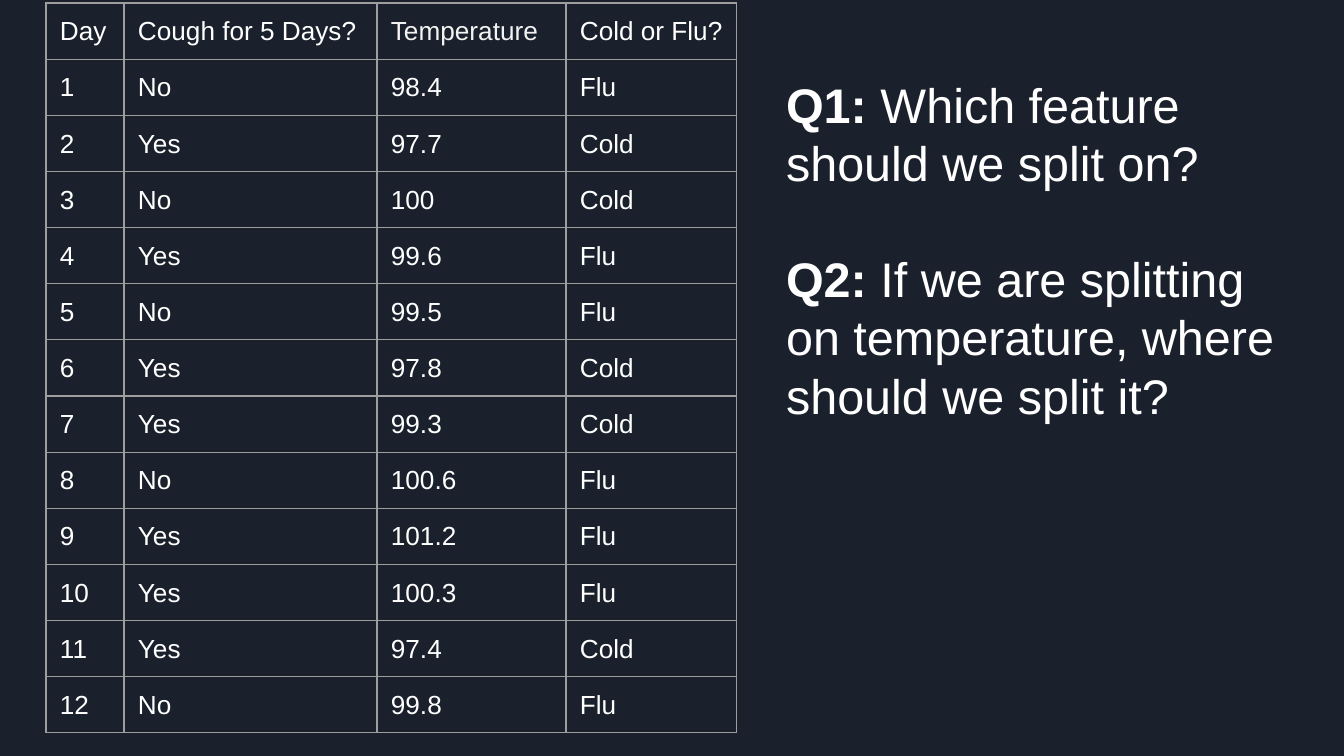
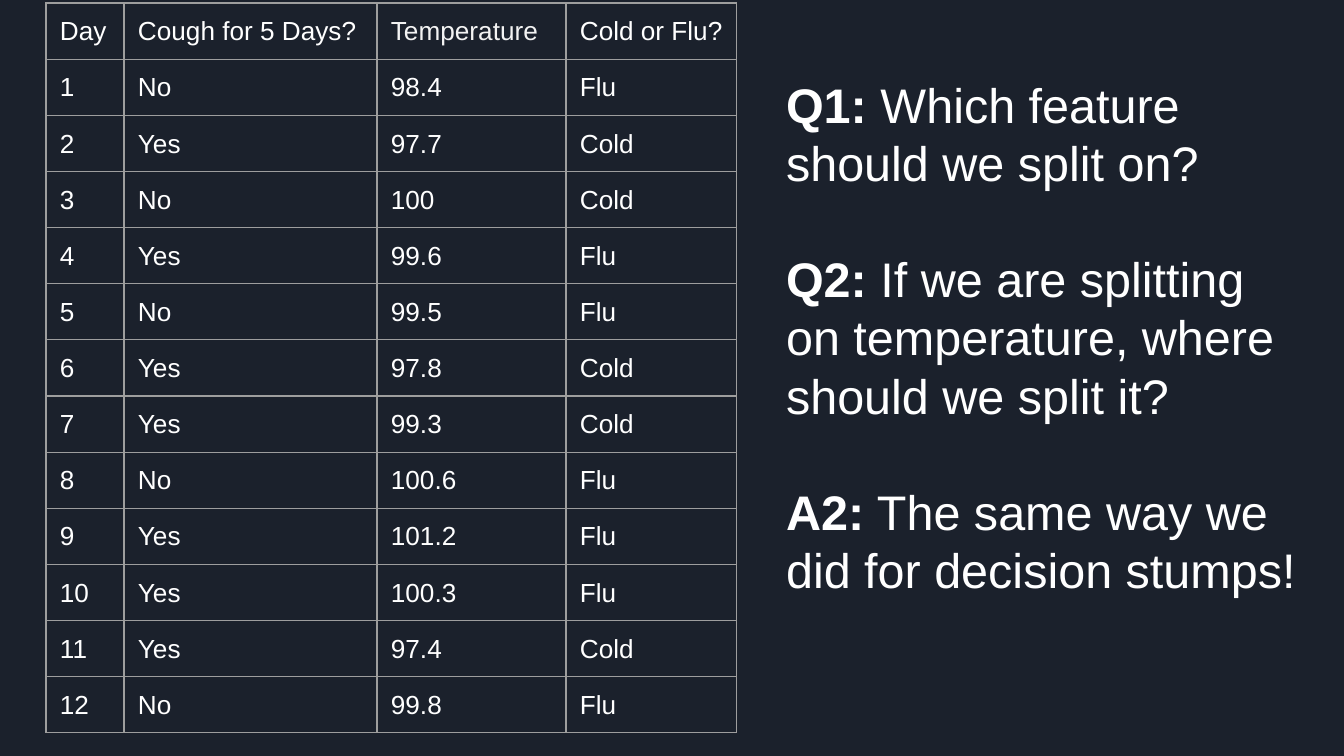
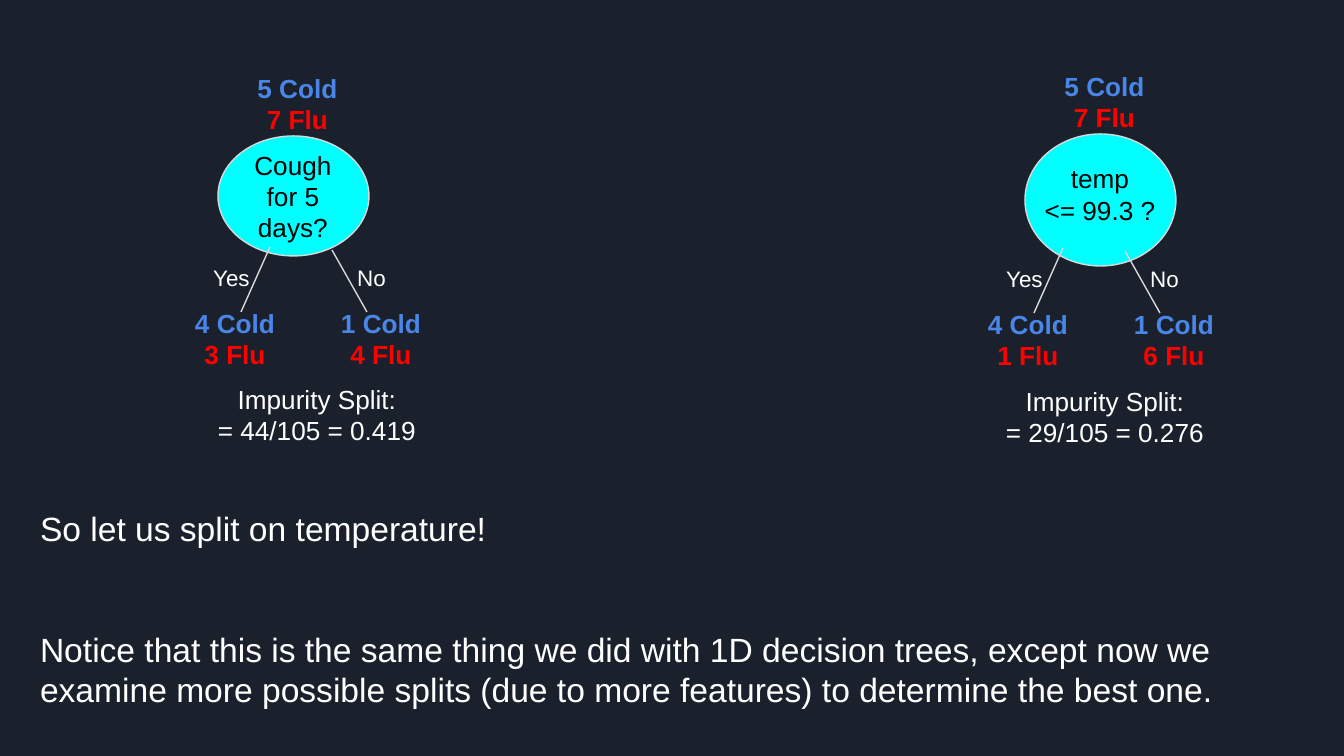
from dataclasses import dataclass

from lxml.etree import SubElement
from pptx import Presentation
from pptx.dml.color import RGBColor
from pptx.enum.shapes import MSO_CONNECTOR, MSO_SHAPE
from pptx.enum.text import MSO_ANCHOR as Anchor, PP_ALIGN as Align
from pptx.oxml import parse_xml
from pptx.oxml.ns import nsdecls, qn
from pptx.util import Emu, Pt

EMU_PER_PX = 914400 / 134.4
FONT = "Arial"
INSET = 13
BACKGROUND, WHITE, BLACK = "1B212C", "FFFFFF", "000000"
OFF_WHITE, GRID, OUTLINE = "F3F3F3", "9E9E9E", "D9D9D9"
COLD, FLU, NODE = "4A86E8", "FF0000", "00FFFF"

HEADER = ("Day", "Cough for 5 Days?", "Temperature", "Cold or Flu?")
DAYS = (
    ("No", "98.4", "Flu"), ("Yes", "97.7", "Cold"), ("No", "100", "Cold"),
    ("Yes", "99.6", "Flu"), ("No", "99.5", "Flu"), ("Yes", "97.8", "Cold"),
    ("Yes", "99.3", "Cold"), ("No", "100.6", "Flu"), ("Yes", "101.2", "Flu"),
    ("Yes", "100.3", "Flu"), ("Yes", "97.4", "Cold"), ("No", "99.8", "Flu"),
)
COLUMN_WIDTHS = (78, 253, 189, 171)
TABLE_HEIGHT = 730


@dataclass(frozen=True)
class Box:
    """A rectangle in pixels."""
    x: int
    y: int
    w: int
    h: int


@dataclass(frozen=True)
class Line:
    """One paragraph: an optional bold lead, then the text."""
    text: str
    color: str = WHITE
    bold: bool = False
    lead: str = ""


@dataclass(frozen=True)
class Counts:
    """How many days of each illness reach a node."""
    cold: int
    flu: int


@dataclass(frozen=True)
class Stump:
    """A one-question tree and the places of its parts."""
    node: Box
    question: tuple[str, ...]
    question_h: int
    anchor: Anchor
    branches: tuple[int, int]
    yes: Counts
    no: Counts
    impurity: Box
    result: str


Q1 = Line(" Which feature should we split on?", lead="Q1:")
Q2 = Line(" If we are splitting on temperature, where should we split it?", lead="Q2:")
A2 = Line(" The same way we did for decision stumps!", lead="A2:")
ROOT = Counts(5, 7)
STUMPS = (
    Stump(Box(218, 136, 151, 120), ("Cough for 5 days?",), 112, Anchor.TOP,
          (181, 247), Counts(4, 3), Counts(1, 4),
          Box(200, 370, 234, 93), "= 44/105 = 0.419"),
    Stump(Box(1025, 134, 151, 132), ("temp", "<= 99.3 ?"), 120, Anchor.MIDDLE,
          (974, 248), Counts(4, 1), Counts(1, 6),
          Box(988, 372, 234, 112), "= 29/105 = 0.276"),
)


def px(n: float) -> Emu:
    """Turn pixels into EMU."""
    return Emu(round(n * EMU_PER_PX))


def rgb(color: str) -> RGBColor:
    """Turn a hex string into a colour."""
    return RGBColor.from_string(color)


def place(box: Box) -> tuple[Emu, Emu, Emu, Emu]:
    """Give the position and size of a box in EMU."""
    return px(box.x), px(box.y), px(box.w), px(box.h)


def add_solid(s, kind: MSO_SHAPE, box: Box, color: str):
    """Add a filled shape without a shadow or an outline."""
    sp = s.shapes.add_shape(kind, *place(box))
    sp.shadow.inherit = False
    sp.fill.solid()
    sp.fill.fore_color.rgb = rgb(color)
    sp.line.fill.background()
    return sp


def style(r, size: int, color: str, bold: bool = False) -> None:
    """Format a run."""
    r.font.name, r.font.size, r.font.bold = FONT, Pt(size), bold
    r.font.color.rgb = rgb(color)


def fill_text(sp, lines: tuple[Line, ...], size: int, align: Align,
              anchor: Anchor = Anchor.TOP, gap: int = 0, top: int = INSET) -> None:
    """Write wrapped text in a shape, with a gap in points between paragraphs."""
    tf = sp.text_frame
    tf.word_wrap, tf.vertical_anchor = True, anchor
    tf.margin_left = tf.margin_right = tf.margin_bottom = px(INSET)
    tf.margin_top = px(top)
    for i, line in enumerate(lines):
        p = tf.paragraphs[0] if i == 0 else tf.add_paragraph()
        p.alignment, p.space_before = align, Pt(gap if i else 0)
        if line.lead:
            r = p.add_run()
            r.text = line.lead
            style(r, size, line.color, True)
        r = p.add_run()
        r.text = line.text
        style(r, size, line.color, line.bold)


def add_label(s, box: Box, lines: tuple[Line, ...], size: int = 14,
              anchor: Anchor = Anchor.TOP) -> None:
    """Add a centred text box."""
    fill_text(s.shapes.add_textbox(*place(box)), lines, size, Align.CENTER, anchor)


def add_borders(cell) -> None:
    """Draw the four borders of a table cell."""
    tc_pr = cell._tc.get_or_add_tcPr()
    for i, side in enumerate(("lnL", "lnR", "lnT", "lnB")):
        ln = parse_xml(
            f'<a:{side} {nsdecls("a")} w="{Pt(0.75)}"><a:solidFill>'
            f'<a:srgbClr val="{GRID}"/></a:solidFill></a:{side}>')
        tc_pr.insert(i, ln)


def add_days_table(s) -> None:
    """Add the table of observed days."""
    rows = [HEADER] + [(str(i), *day) for i, day in enumerate(DAYS, 1)]
    box = Box(46, 3, sum(COLUMN_WIDTHS), TABLE_HEIGHT)
    table = s.shapes.add_table(len(rows), len(HEADER), *place(box)).table
    table.first_row = table.horz_banding = False
    for column, width in zip(table.columns, COLUMN_WIDTHS):
        column.width = px(width)
    for i, row in enumerate(rows):
        table.rows[i].height = px(TABLE_HEIGHT / len(rows))
        for j, text in enumerate(row):
            cell = table.cell(i, j)
            cell.margin_left, cell.margin_right = px(14), px(12)
            cell.margin_top, cell.margin_bottom = px(14), px(10)
            cell.text_frame.text = text
            color = OFF_WHITE if text == "Temperature" else WHITE
            style(cell.text_frame.paragraphs[0].runs[0], 14, color)
            cell.fill.background()
            add_borders(cell)


def add_branch(s, x1: int, y1: int, x2: int, y2: int) -> None:
    """Add a thin line without a shadow."""
    c = s.shapes.add_connector(MSO_CONNECTOR.STRAIGHT, px(x1), px(y1), px(x2), px(y2))
    c.line.color.rgb, c.line.width = rgb(OUTLINE), Pt(0.75)
    SubElement(c._element.spPr, qn("a:effectLst"))


def add_counts(s, box: Box, counts: Counts) -> None:
    """Add the cold count above the flu count."""
    add_label(s, box, (Line(f"{counts.cold} Cold", COLD, True),
                       Line(f"{counts.flu} Flu", FLU, True)))


def add_stump(s, stump: Stump) -> None:
    """Add a question node, its two branches and its impurity."""
    node = stump.node
    add_label(s, stump.impurity, (Line("Impurity Split:"), Line(stump.result)))
    sp = add_solid(s, MSO_SHAPE.OVAL, node, NODE)
    sp.line.color.rgb, sp.line.width = rgb(OUTLINE), Pt(0.75)
    add_label(s, Box(node.x + 6, node.y, 138, stump.question_h),
              tuple(Line(text, BLACK) for text in stump.question), anchor=stump.anchor)
    add_counts(s, Box(node.x + 15, node.y - 77, 129, 75), ROOT)

    x, y = stump.branches
    add_branch(s, x + 89, y, x + 60, y + 65)
    add_branch(s, x + 151, y + 3, x + 186, y + 65)
    for i, (answer, counts) in enumerate((("Yes", stump.yes), ("No", stump.no))):
        add_label(s, Box(x + 6 + 140 * i, y + 4, 89, 50), (Line(answer),), 12)
        add_counts(s, Box(x + 146 * i, y + 47, 108, 75), counts)


def add_question_slide(prs, *lines: Line) -> None:
    """Add a slide with the days table and a panel of questions."""
    s = prs.slides.add_slide(prs.slide_layouts[6])
    add_days_table(s)
    panel = add_solid(s, MSO_SHAPE.RECTANGLE, Box(773, 3, 540, 750), BACKGROUND)
    fill_text(panel, lines, 26, Align.LEFT, gap=31, top=72)


def add_comparison_slide(prs) -> None:
    """Add the slide that compares the two splits."""
    s = prs.slides.add_slide(prs.slide_layouts[6])
    for stump in STUMPS:
        add_stump(s, stump)
    conclusion = s.shapes.add_textbox(*place(Box(27, 495, 1290, 235)))
    fill_text(conclusion, (
        Line("So let us split on temperature!"),
        Line("Notice that this is the same thing we did with 1D decision trees, "
             "except now we examine more possible splits (due to more features) "
             "to determine the best one."),
    ), 18, Align.LEFT, gap=43)


def main() -> None:
    """Build and save the slides."""
    prs = Presentation()
    prs.slide_width, prs.slide_height = px(1344), px(756)
    fill = prs.slide_master.background.fill
    fill.solid()
    fill.fore_color.rgb = rgb(BACKGROUND)
    add_question_slide(prs, Q1, Q2)
    add_question_slide(prs, Q1, Q2, A2)
    add_comparison_slide(prs)
    prs.save("out.pptx")


main()
